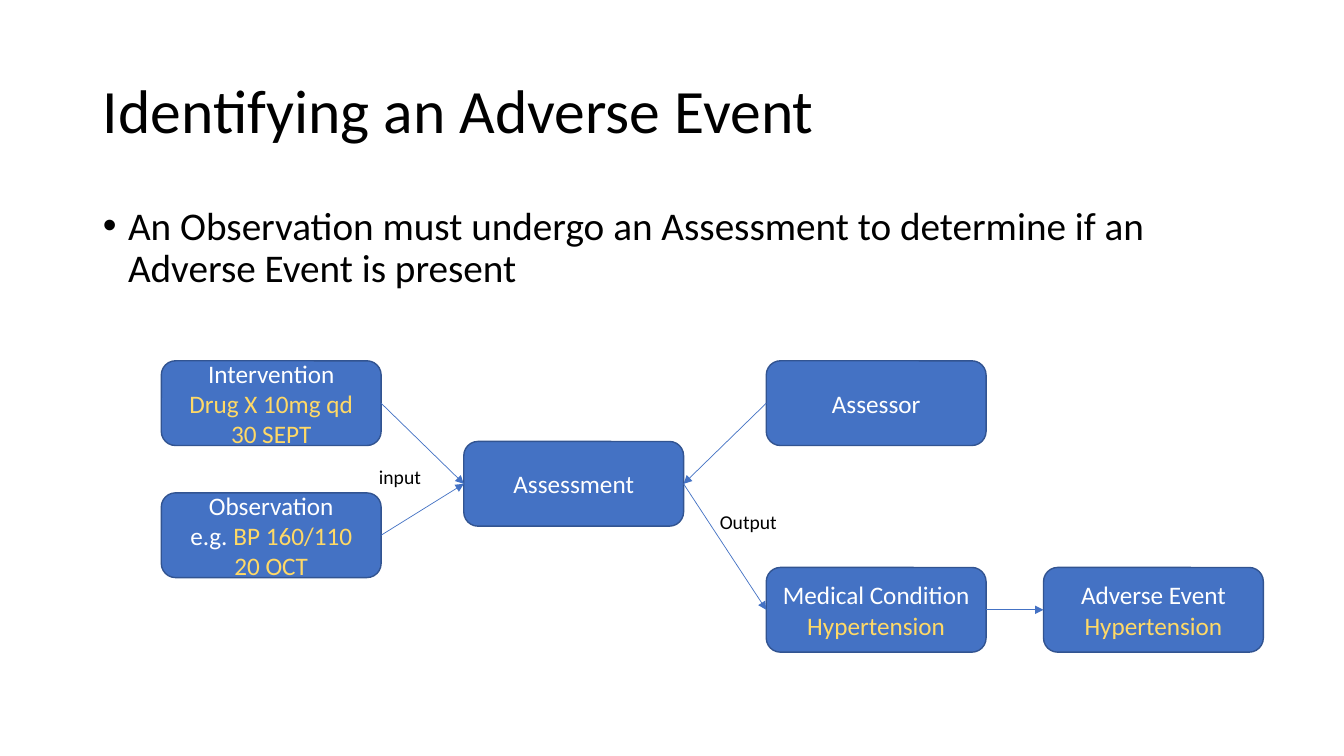
from lxml import etree
from pptx import Presentation, util as u
from pptx.dml.color import RGBColor
from pptx.enum import shapes, text
from pptx.oxml import ns

BLACK = RGBColor(0x00, 0x00, 0x00)
WHITE = RGBColor(0xFF, 0xFF, 0xFF)
BLUE = RGBColor(0x44, 0x72, 0xC4)
DARK_BLUE = RGBColor(0x32, 0x54, 0x91)
YELLOW = RGBColor(0xFF, 0xD9, 0x66)
FONT = "Calibri"

NODE_WIDTH, NODE_HEIGHT = 2.18, 0.84
LEFT_SITE, RIGHT_SITE = 1, 3

# Name: (left, top) within the diagram, then lines of (text, colour) runs
NODES = {
    "assessment": ((3, 0.8), [[("Assessment", WHITE)]]),
    "observation": ((0, 1.31), [[("Observation", WHITE)],
                                [("e.g. ", WHITE), ("BP 160/110", YELLOW)],
                                [("20 OCT", YELLOW)]]),
    "assessor": ((6, 0), [[("Assessor", WHITE)]]),
    "condition": ((6, 2.05), [[("Medical Condition", WHITE)],
                              [("Hypertension", YELLOW)]]),
    "intervention": ((0, 0), [[("Intervention", WHITE)],
                              [("Drug X 10mg qd", YELLOW)],
                              [("30 SEPT", YELLOW)]]),
    "event": ((8.75, 2.05), [[("Adverse Event", WHITE)],
                             [("Hypertension", YELLOW)]]),
}
ARROWS = [
    ("intervention", RIGHT_SITE, "assessment", LEFT_SITE),
    ("observation", RIGHT_SITE, "assessment", LEFT_SITE),
    ("assessor", LEFT_SITE, "assessment", RIGHT_SITE),
    ("assessment", RIGHT_SITE, "condition", LEFT_SITE),
    ("condition", RIGHT_SITE, "event", LEFT_SITE),
]
# Text, then left, top, width and height within the diagram
LABELS = [("input", (2.06, 0.98, 0.68, 0.34)),
          ("Output", (5.44, 1.43, 0.95, 0.34))]


def write_text(frame, lines, size, align=text.PP_ALIGN.LEFT,
               anchor=text.MSO_ANCHOR.TOP, line_spacing=None, space_before=0):
    """Fill a text frame with lines, each a list of (text, colour) runs."""
    frame.word_wrap = True
    frame.auto_size = text.MSO_AUTO_SIZE.NONE
    frame.vertical_anchor = anchor
    for index, runs in enumerate(lines):
        paragraph = frame.add_paragraph() if index else frame.paragraphs[0]
        paragraph.alignment = align
        paragraph.line_spacing = line_spacing
        paragraph.space_before = u.Pt(space_before)
        for words, colour in runs:
            run = paragraph.add_run()
            run.text = words
            run.font.name = FONT
            run.font.size = u.Pt(size)
            run.font.color.rgb = colour


def place(shape, box):
    """Move and size a shape to a box in inches."""
    shape.left, shape.top, shape.width, shape.height = map(u.Inches, box)


def add_title(slide, box, words):
    """Place the slide title."""
    place(slide.shapes.title, box)
    write_text(slide.shapes.title.text_frame, [[(words, BLACK)]], 44,
               anchor=text.MSO_ANCHOR.MIDDLE, line_spacing=0.9)


def add_body(slide, box, words):
    """Place the bulleted statement."""
    body = slide.placeholders[1]
    place(body, box)
    write_text(body.text_frame, [[(words, BLACK)]], 28,
               line_spacing=0.9, space_before=10)
    properties = body.text_frame.paragraphs[0]._p.get_or_add_pPr()
    properties.set("marL", str(u.Inches(0.25)))
    properties.set("indent", str(u.Inches(-0.25)))
    etree.SubElement(properties, ns.qn("a:buFont"), typeface="Arial")
    etree.SubElement(properties, ns.qn("a:buChar"), char="•")


def add_node(slide, box, lines):
    """Draw one rounded box of the diagram."""
    node = slide.shapes.add_shape(
        shapes.MSO_SHAPE.ROUNDED_RECTANGLE, *map(u.Inches, box))
    node.shadow.inherit = False
    node.fill.solid()
    node.fill.fore_color.rgb = BLUE
    node.line.color.rgb = DARK_BLUE
    node.line.width = u.Pt(1)
    write_text(node.text_frame, lines, 18, align=text.PP_ALIGN.CENTER,
               anchor=text.MSO_ANCHOR.MIDDLE)
    return node


def add_arrow(slide, start, start_site, end, end_site):
    """Connect two nodes with an arrow."""
    arrow = slide.shapes.add_connector(
        shapes.MSO_CONNECTOR.STRAIGHT, 0, 0, 0, 0)
    arrow.begin_connect(start, start_site)
    arrow.end_connect(end, end_site)
    arrow.line.color.rgb = BLUE
    arrow.line.width = u.Pt(0.5)
    etree.SubElement(arrow.line._get_or_add_ln(), ns.qn("a:tailEnd"),
                     type="triangle")
    etree.SubElement(arrow._element.spPr, ns.qn("a:effectLst"))


def add_diagram(slide, left, top):
    """Draw the assessment flow from its top left corner."""
    nodes = {
        name: add_node(slide, (left + x, top + y, NODE_WIDTH, NODE_HEIGHT), lines)
        for name, ((x, y), lines) in NODES.items()
    }
    for start, start_site, end, end_site in ARROWS:
        add_arrow(slide, nodes[start], start_site, nodes[end], end_site)
    for words, (x, y, width, height) in LABELS:
        label = slide.shapes.add_textbox(
            *map(u.Inches, (left + x, top + y, width, height)))
        write_text(label.text_frame, [[(words, BLACK)]], 14)


def main():
    """Build and save the slide."""
    presentation = Presentation()
    presentation.slide_width = u.Inches(13.33)
    presentation.slide_height = u.Inches(7.5)
    slide = presentation.slides.add_slide(presentation.slide_layouts[1])
    add_title(slide, (0.92, 0.4, 11.5, 1.45), "Identifying an Adverse Event")
    add_body(slide, (0.92, 2, 11.5, 4.76),
             "An Observation must undergo an Assessment to determine "
             "if an Adverse Event is present")
    add_diagram(slide, 1.6, 3.58)
    presentation.save("out.pptx")


main()
